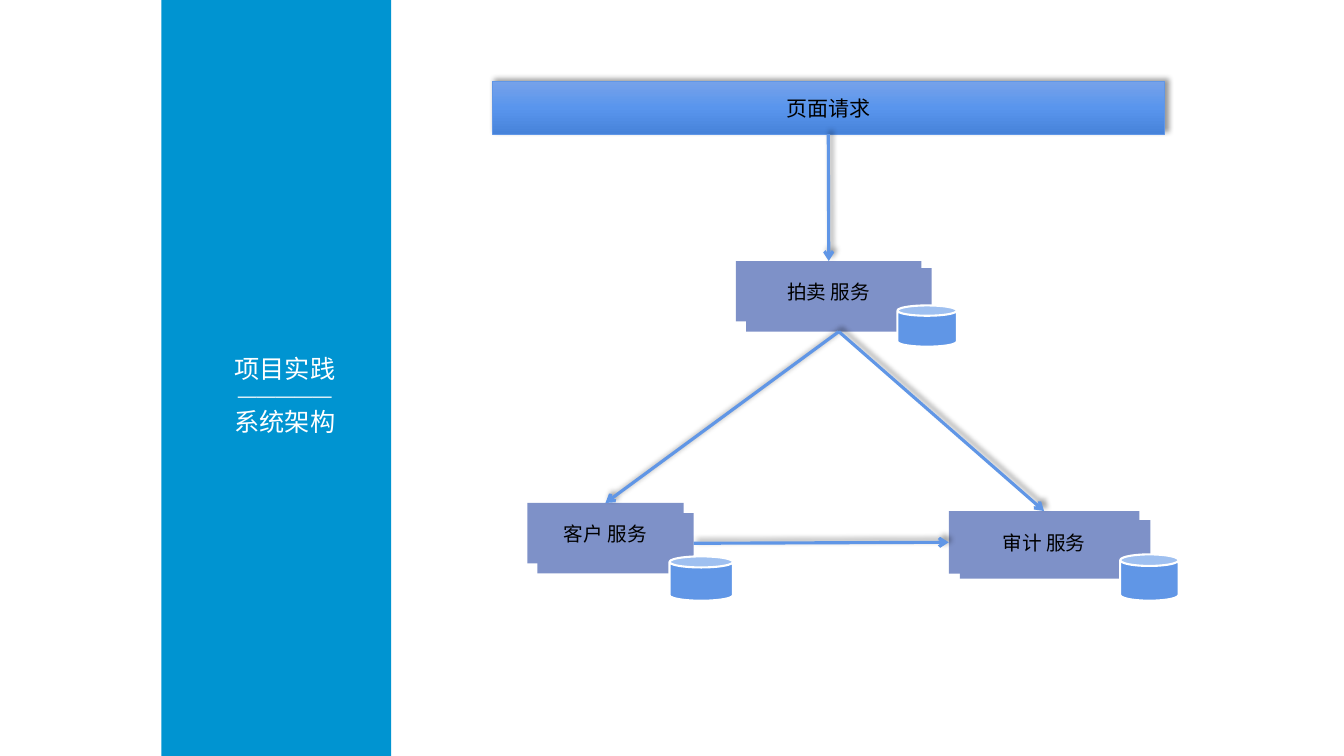
from lxml import etree
from pptx import Presentation
from pptx.dml.color import RGBColor
from pptx.enum import shapes, text
from pptx.oxml import ns
from pptx.util import Inches, Pt

WHITE = RGBColor(0xFF, 0xFF, 0xFF)
BLACK = RGBColor(0, 0, 0)
SIDEBAR = RGBColor(0x00, 0x94, 0xD1)
CARD = RGBColor(0x7E, 0x91, 0xC8)
BLUE = RGBColor(0x60, 0x96, 0xE6)
GRADIENT = [(0, "76A2EA"), (50, "5995ED"), (100, "4783DA")]

# Content: boxes are left, top, width, height
TITLE = [("项目实践", 18), ("—————", 13.5), ("系统架构", 18)]
REQUEST = ("页面请求", (4.88, 0.81, 6.67, 0.52))
SERVICES = {
    "audit": dict(label="审计 服务", front=(9.41, 5.07, 1.89, 0.62),
                  back=(9.52, 5.16, 1.89, 0.58), store=(11.11, 5.5, 0.58, 0.46)),
    "auction": dict(label="拍卖 服务", front=(7.3, 2.59, 1.84, 0.6),
                    back=(7.4, 2.66, 1.84, 0.63), store=(8.9, 3.03, 0.59, 0.41)),
    "customer": dict(label="客户 服务", front=(5.23, 4.99, 1.55, 0.6),
                     back=(5.33, 5.09, 1.55, 0.6), store=(6.64, 5.52, 0.63, 0.44)),
}

prs = Presentation()
prs.slide_width, prs.slide_height = Inches(13.33), Inches(7.5)
s = prs.slides.add_slide(prs.slide_layouts[6])


def add_xml(parent, tag, **attrs):
    return etree.SubElement(parent, ns.qn(tag), attrs)


def add_shadow(effects):
    shadow = add_xml(effects, "a:outerShdw", blurRad=str(Pt(4)), dist=str(Pt(3)),
                     dir=str(315 * 60000), algn="bl", rotWithShape="0")
    color = add_xml(shadow, "a:srgbClr", val="000000")
    add_xml(color, "a:alpha", val="40000")


def write(sp, lines, color):
    tf = sp.text_frame
    tf.word_wrap = True
    tf.vertical_anchor = text.MSO_ANCHOR.MIDDLE
    for i, (line, size) in enumerate(lines):
        p = tf.add_paragraph() if i else tf.paragraphs[0]
        p.alignment = text.PP_ALIGN.CENTER
        r = p.add_run()
        r.text = line
        for name, value in dict(name="Arial", size=Pt(size)).items():
            setattr(r.font, name, value)
        r.font.color.rgb = color


def add_box(box, fill=None, line=None, width=0, kind=shapes.MSO_SHAPE.RECTANGLE):
    sp = s.shapes.add_shape(kind, *map(Inches, box))
    sp.shadow.inherit = False
    if fill is not None:
        sp.fill.solid()
        sp.fill.fore_color.rgb = fill
    if line is None:
        sp.line.fill.background()
    else:
        sp.line.color.rgb = line
        sp.line.width = Pt(width)
    return sp


def anchor(box, x, y):
    """Point at the given fractions of a box's width and height."""
    left, top, width, height = box
    return left + x * width, top + y * height


def add_arrow(start, end):
    c = s.shapes.add_connector(shapes.MSO_CONNECTOR.STRAIGHT, *map(Inches, start + end))
    c.line.color.rgb = BLUE
    c.line.width = Pt(2.25)
    add_xml(c.line._get_or_add_ln(), "a:tailEnd", type="arrow")
    add_shadow(add_xml(c._element.spPr, "a:effectLst"))


# Sidebar with title
add_box((1.6, -0.04, 2.28, 7.54), SIDEBAR)
write(s.shapes.add_textbox(*map(Inches, (1.87, 3.45, 1.91, 0.93))), TITLE, WHITE)

# Rear cards
for service in SERVICES.values():
    add_box(service["back"], CARD)

# Request bar
label, bar = REQUEST
sp = add_box(bar, line=BLUE, width=0.5)
sp_pr = sp._element.spPr
grad = etree.Element(ns.qn("a:gradFill"), rotWithShape="1")
stops = add_xml(grad, "a:gsLst")
for pos, color in GRADIENT:
    add_xml(add_xml(stops, "a:gs", pos=str(pos * 1000)), "a:srgbClr", val=color)
add_xml(grad, "a:lin", ang=str(90 * 60000), scaled="0")
sp_pr.find(ns.qn("a:prstGeom")).addnext(grad)
add_shadow(sp_pr.find(ns.qn("a:effectLst")))
write(sp, [(label, 15)], BLACK)

# Front cards and data stores
for service in SERVICES.values():
    write(add_box(service["front"], CARD), [(service["label"], 14)], BLACK)
    add_box(service["store"], BLUE, WHITE, 1.5, shapes.MSO_SHAPE.CAN)

# Calls between services
audit, auction, customer = (SERVICES[k] for k in ("audit", "auction", "customer"))
add_arrow(anchor(bar, 0.5, 1), anchor(auction["front"], 0.5, 0))
for target in (customer, audit):
    add_arrow(anchor(auction["back"], 0.5, 1), anchor(target["front"], 0.5, 0))
add_arrow(anchor(customer["back"], 1, 0.5), anchor(audit["front"], 0, 0.5))

prs.save("out.pptx")
